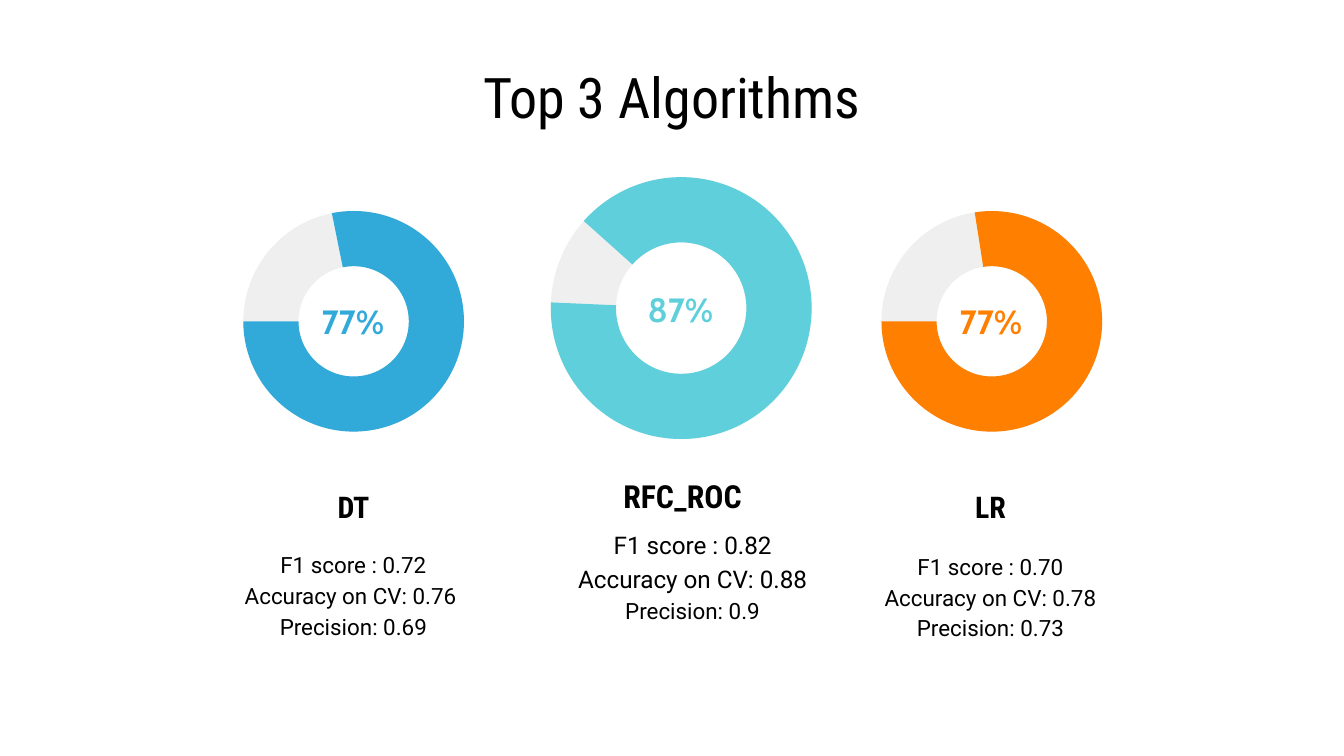
from pptx import Presentation
from pptx.dml.color import RGBColor
from pptx.enum import shapes, text
from pptx.util import Cm, Pt


def rgb(value):
    return RGBColor.from_string(value)


class Deck:
    """Holds the style and the current slide."""
    HEAD, BODY, FIGURE = "Roboto Condensed", "Roboto", "Cabin"
    INK, TRACK = "000000", "EFEFEF"

    def __init__(self, width, height):
        self.prs = Presentation()
        self.prs.slide_width, self.prs.slide_height = Cm(width), Cm(height)
        self.s = self.prs.slides.add_slide(self.prs.slide_layouts[6])

    def text(self, box, lines, font, sizes, color=INK, bold=False,
             inset=(0.51, 0), spacing=1):
        tf = self.s.shapes.add_textbox(*map(Cm, box)).text_frame
        tf.word_wrap = True
        tf.vertical_anchor = text.MSO_ANCHOR.MIDDLE
        tf.margin_left = tf.margin_right = Cm(inset[0])
        tf.margin_top = tf.margin_bottom = Cm(inset[1])
        for i, (line, size) in enumerate(zip(lines, sizes)):
            p = tf.paragraphs[0] if i == 0 else tf.add_paragraph()
            p.text = line
            p.alignment = text.PP_ALIGN.CENTER
            p.line_spacing = spacing
            p.font.name, p.font.size, p.font.bold = font, Pt(size), bold
            p.font.color.rgb = rgb(color)

    def arc(self, box, start, end, color):
        """Draw a clockwise ring segment between two angles in degrees."""
        sp = self.s.shapes.add_shape(shapes.MSO_SHAPE.BLOCK_ARC, *map(Cm, box))
        sp.shadow.inherit = False
        sp.fill.solid()
        sp.fill.fore_color.rgb = rgb(color)
        sp.line.fill.background()
        # Angles are stored in 60000ths of a degree, scaled by 100000
        sp.adjustments[0] = start * 0.6
        sp.adjustments[1] = end * 0.6
        sp.adjustments[2] = 0.25

    def ring(self, box, start, end, color):
        self.arc(box, 180, 179.98, self.TRACK)
        self.arc(box, start, end, color)


# One entry per algorithm; boxes are left, top, width, height in cm
ALGORITHMS = [
    dict(name="DT", percent="77%", color="32AAD9", name_size=16,
         ring=(4.6, 3.99, 4.17, 4.17), angles=(258.63, 179.98),
         figure=(5.49, 5.59), label=(4.04, 9.12), scores=(4.04, 10.18, 5.28),
         lines=["F1 score : 0.72", "Accuracy on CV: 0.76 ", "Precision: 0.69"],
         sizes=(12, 12, 12)),
    dict(name="RFC_ROC", percent="87%", color="5FD0DB", name_size=17,
         ring=(10.41, 3.35, 4.93, 4.95), angles=(221.81, 182.5),
         figure=(11.68, 5.36), label=(10.26, 8.92), scores=(10.26, 9.83, 5.66),
         lines=["F1 score : 0.82", "Accuracy on CV: 0.88", "Precision: 0.9"],
         sizes=(13, 13, 12)),
    dict(name="LR", percent="77%", color="FF8001", name_size=16,
         ring=(16.66, 3.99, 4.17, 4.17), angles=(261.09, 179.98),
         figure=(17.55, 5.59), label=(16.08, 9.12), scores=(16.08, 10.21, 5.28),
         lines=["F1 score : 0.70", "Accuracy on CV: 0.78", "Precision: 0.73"],
         sizes=(12, 12, 12)),
]


def main():
    deck = Deck(25.4, 14.29)

    # Title
    deck.text((0, 1.14, 25.4, 1.35), ["Top 3 Algorithms"], deck.HEAD, [30],
              inset=(0.25, 0.25))

    for a in ALGORITHMS:
        # Ring with its percentage
        deck.ring(a["ring"], *a["angles"], a["color"])
        deck.text((*a["figure"], 2.36, 0.97), [a["percent"]], deck.FIGURE, [18],
                  a["color"], bold=True, inset=(0.25, 0.25))
        # Name and scores
        deck.text((*a["label"], 5.28, 0.91), [a["name"]], deck.HEAD,
                  [a["name_size"]], bold=True)
        deck.text((*a["scores"], 2.08), a["lines"], deck.BODY, a["sizes"],
                  spacing=1.15)

    deck.prs.save("out.pptx")


if __name__ == "__main__":
    main()
